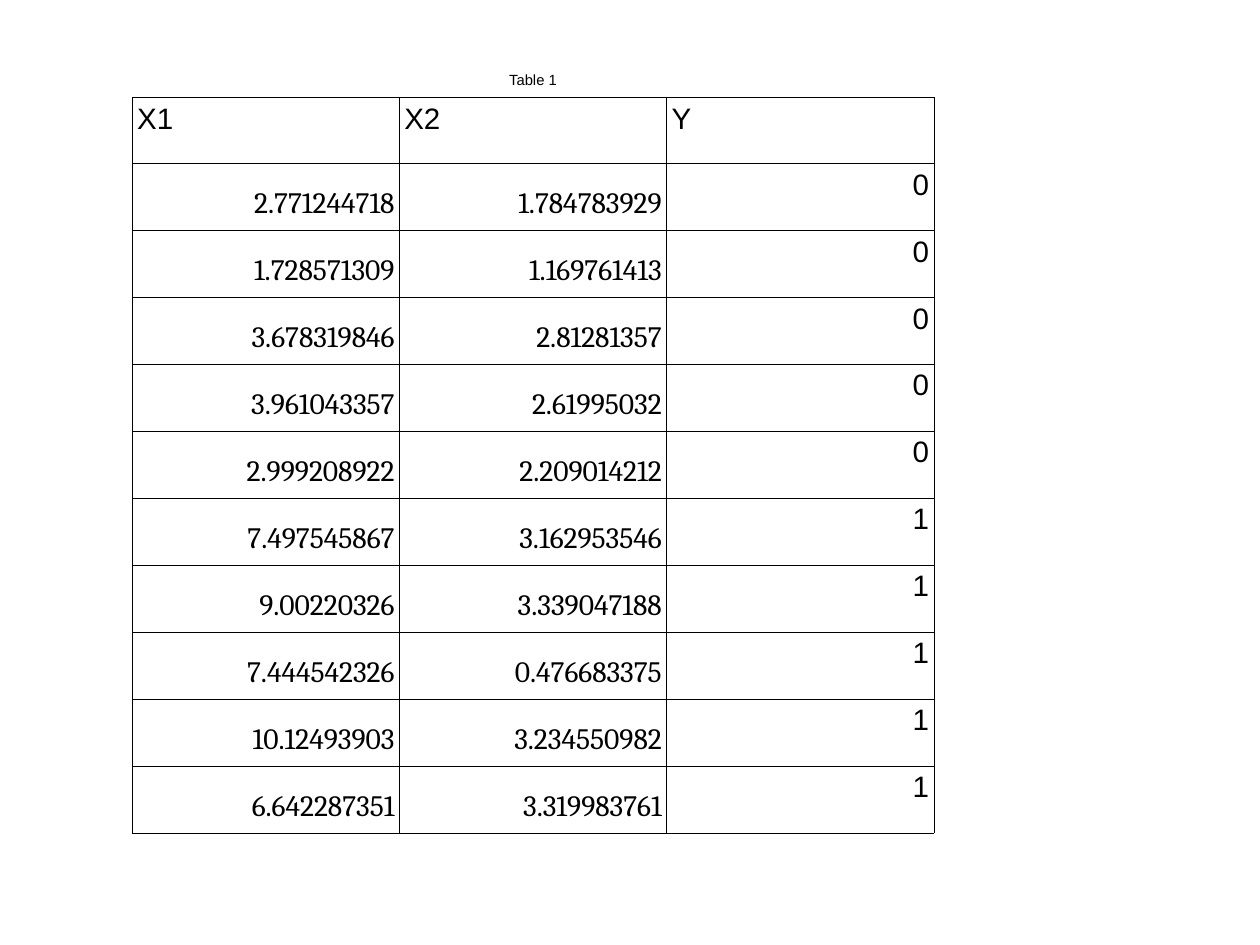
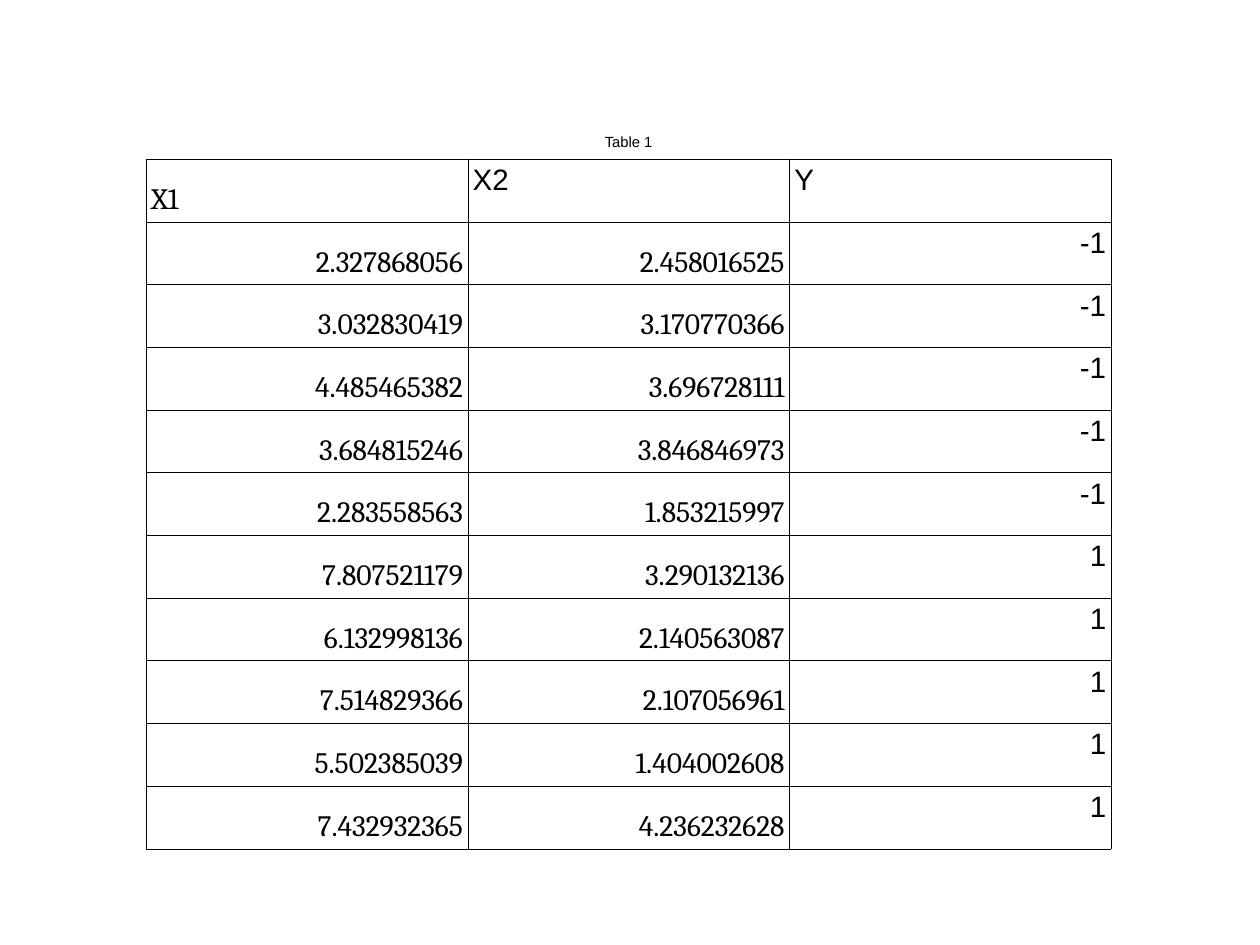
from lxml.etree import SubElement
from pptx import Presentation
from pptx.dml.color import RGBColor
from pptx.enum.text import MSO_ANCHOR, PP_ALIGN
from pptx.oxml.ns import qn
from pptx.util import Cm, Pt

BLACK = RGBColor(0x00, 0x00, 0x00)
SANS, SERIF = "Arial", "Cambria"
BORDER_WIDTH = Pt(0.35)
CELL_INSET = Cm(0.14)
CAPTION_HEIGHT = Cm(0.97)
NUMBER_SPACING = Pt(43)
BLANK_LAYOUT = 6

# Cell formats
CAPTION = dict(size=12, align=PP_ALIGN.CENTER, before=Pt(6))
HEADER = dict()
SERIF_HEADER = dict(font=SERIF, spacing=NUMBER_SPACING)
FIRST_NUMBER = dict(SERIF_HEADER, align=PP_ALIGN.RIGHT)
SECOND_NUMBER = dict(FIRST_NUMBER, before=Pt(12))
LABEL = dict(align=PP_ALIGN.RIGHT)
ROW_FORMATS = (FIRST_NUMBER, SECOND_NUMBER, LABEL)

# Samples: X1, X2, Y
BINARY_SAMPLES = (
    ("2.771244718", "1.784783929", "0"),
    ("1.728571309", "1.169761413", "0"),
    ("3.678319846", "2.81281357", "0"),
    ("3.961043357", "2.61995032", "0"),
    ("2.999208922", "2.209014212", "0"),
    ("7.497545867", "3.162953546", "1"),
    ("9.00220326", "3.339047188", "1"),
    ("7.444542326", "0.476683375", "1"),
    ("10.12493903", "3.234550982", "1"),
    ("6.642287351", "3.319983761", "1"),
)
SIGNED_SAMPLES = (
    ("2.327868056", "2.458016525", "-1"),
    ("3.032830419", "3.170770366", "-1"),
    ("4.485465382", "3.696728111", "-1"),
    ("3.684815246", "3.846846973", "-1"),
    ("2.283558563", "1.853215997", "-1"),
    ("7.807521179", "3.290132136", "1"),
    ("6.132998136", "2.140563087", "1"),
    ("7.514829366", "2.107056961", "1"),
    ("5.502385039", "1.404002608", "1"),
    ("7.432932365", "4.236232628", "1"),
)


def write_text(frame, text, font=SANS, size=24, align=PP_ALIGN.LEFT,
               spacing=None, before=None):
    """Write one formatted paragraph into a text frame."""
    para = frame.paragraphs[0]
    para.alignment = align
    para.line_spacing = spacing
    para.space_before = before
    span = para.add_run()
    span.text = text
    span.font.name = font
    span.font.size = Pt(size)
    span.font.color.rgb = BLACK


class DeckBuilder:
    """Holds the deck, its table style and the current page."""

    def __init__(self):
        self.deck = Presentation()
        self.deck.slide_width = Cm(36.12)
        self.deck.slide_height = Cm(27.1)
        self.page = None

    def add_page(self):
        layout = self.deck.slide_layouts[BLANK_LAYOUT]
        self.page = self.deck.slides.add_slide(layout)

    def style_cell(self, cell, lined_sides):
        properties = cell._tc.get_or_add_tcPr()
        for side in "LRTB":
            line = SubElement(properties, qn(f"a:ln{side}"), w=str(int(BORDER_WIDTH)))
            if side in lined_sides:
                fill = SubElement(line, qn("a:solidFill"))
                SubElement(fill, qn("a:srgbClr"), val=str(BLACK))
            else:
                SubElement(line, qn("a:noFill"))
        cell.fill.background()
        cell.margin_left = cell.margin_right = CELL_INSET
        cell.margin_top = cell.margin_bottom = CELL_INSET

    def add_sample_table(self, samples, left, top, column_width, header_height,
                         row_height, first_header=HEADER):
        heights = [CAPTION_HEIGHT, header_height] + [row_height] * len(samples)
        table = self.page.shapes.add_table(
            len(heights), 3, left, top, column_width * 3, sum(heights)).table
        table.first_row = table.horz_banding = False
        for column in table.columns:
            column.width = column_width
        for index, height in enumerate(heights):
            table.rows[index].height = height
            for cell in table.rows[index].cells:
                self.style_cell(cell, "LRTB" if index else "B")

        # Caption across all columns
        caption = table.cell(0, 0)
        caption.merge(table.cell(0, 2))
        caption.vertical_anchor = MSO_ANCHOR.MIDDLE
        write_text(caption.text_frame, "Table 1", **CAPTION)

        # Header and samples
        lines = [(("X1", "X2", "Y"), (first_header, HEADER, HEADER))]
        lines += [(sample, ROW_FORMATS) for sample in samples]
        for row, (texts, formats) in enumerate(lines, start=1):
            for column, (text, style) in enumerate(zip(texts, formats)):
                write_text(table.cell(row, column).text_frame, text, **style)


def main():
    builder = DeckBuilder()

    # Samples labelled 0 and 1
    builder.add_page()
    builder.add_sample_table(BINARY_SAMPLES, Cm(3.79), Cm(1.83), Cm(7.66),
                             header_height=Cm(1.89), row_height=Cm(1.92))

    # Samples labelled -1 and 1
    builder.add_page()
    builder.add_sample_table(SIGNED_SAMPLES, Cm(4.19), Cm(3.59), Cm(9.22),
                             header_height=Cm(1.66), row_height=Cm(1.66),
                             first_header=SERIF_HEADER)

    builder.deck.save("out.pptx")


if __name__ == "__main__":
    main()
